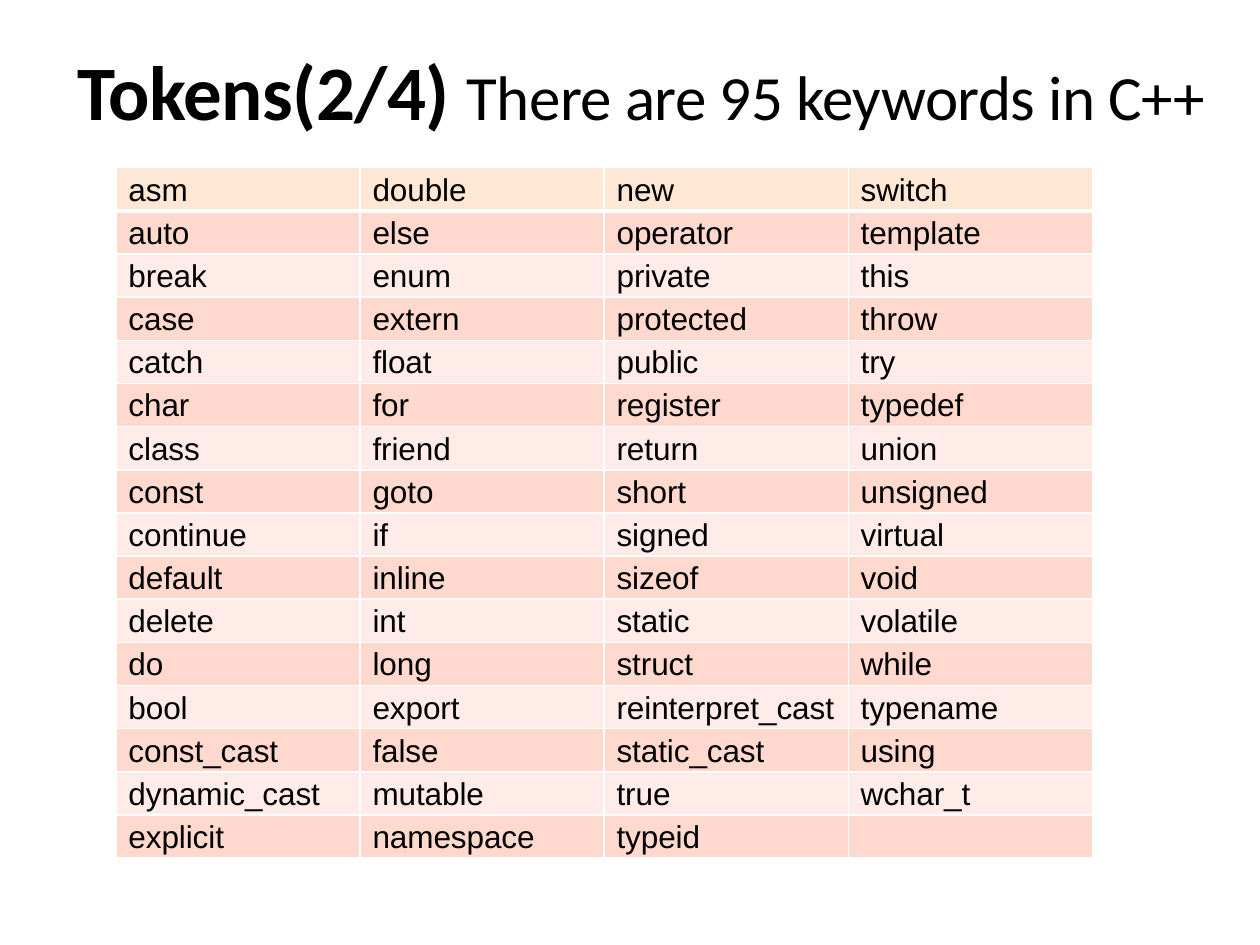
from typing import NamedTuple

from lxml.etree import SubElement
from pptx import Presentation
from pptx.dml.color import RGBColor
from pptx.enum.text import MSO_ANCHOR, MSO_AUTO_SIZE, PP_ALIGN
from pptx.oxml import parse_xml
from pptx.oxml.ns import nsdecls, qn
from pptx.util import Cm, Pt

BLACK = RGBColor(0x00, 0x00, 0x00)
WHITE = RGBColor(0xFF, 0xFF, 0xFF)
HEADER = RGBColor(0xFF, 0xE7, 0xD6)
BAND_DARK = RGBColor(0xFF, 0xD9, 0xCE)
BAND_LIGHT = RGBColor(0xFF, 0xEC, 0xE8)

COLUMN_WIDTH = Cm(4.92)
ROW_HEIGHT = Cm(0.87)
INDENT = Cm(0.25)

KEYWORD_COLUMNS = [
    "asm auto break case catch char class const continue default delete do "
    "bool const_cast dynamic_cast explicit",
    "double else enum extern float for friend goto if inline int long "
    "export false mutable namespace",
    "new operator private protected public register return short signed "
    "sizeof static struct reinterpret_cast static_cast true typeid",
    "switch template this throw try typedef union unsigned virtual void "
    "volatile while typename using wchar_t",
]


class TitlePart(NamedTuple):
    text: str
    size: int
    bold: bool


class Border(NamedTuple):
    side: str
    points: int


TITLE_PARTS = [
    TitlePart("Tokens(2/4) ", 44, True),
    TitlePart("There are 95 keywords in C++", 36, False),
]


def add_title(slide, parts: list[TitlePart]) -> None:
    sp = slide.shapes.title
    sp.left, sp.top, sp.width, sp.height = Cm(1.07), Cm(0.84), Cm(23.7), Cm(1.93)
    tf = sp.text_frame
    tf.auto_size = MSO_AUTO_SIZE.NONE
    tf.vertical_anchor = MSO_ANCHOR.MIDDLE
    tf.margin_left = tf.margin_top = tf.margin_right = tf.margin_bottom = 0
    p = tf.paragraphs[0]
    p.alignment = PP_ALIGN.CENTER
    p.space_before = Pt(1.1)
    p.font.name = "Calibri"
    p.font.color.rgb = BLACK
    for part in parts:
        r = p.add_run()
        r.text = part.text
        r.font.size = Pt(part.size)
        r.font.bold = part.bold
        r._r.get_or_add_rPr().set("spc", "-30")


def set_borders(cell, borders: list[Border]) -> None:
    """Draw white cell borders; sides must come in the order L, R, T, B."""
    tc_pr = cell._tc.get_or_add_tcPr()
    for position, border in enumerate(borders):
        ln = parse_xml(f'<a:ln{border.side} {nsdecls("a")} w="{Pt(border.points)}"/>')
        fill = SubElement(ln, qn("a:solidFill"))
        SubElement(fill, qn("a:srgbClr"), val=str(WHITE))
        tc_pr.insert(position, ln)


def row_fill(row: int) -> RGBColor:
    if row == 0:
        return HEADER
    return BAND_DARK if row % 2 else BAND_LIGHT


def format_cell(cell, row: int, keyword: str) -> None:
    cell.margin_left = cell.margin_right = cell.margin_bottom = 0
    cell.margin_top = Cm(0.1)
    cell.fill.solid()
    cell.fill.fore_color.rgb = row_fill(row)
    set_borders(cell, [
        Border("L", 1),
        Border("R", 1),
        Border("T", 3 if row == 1 else 1),
        Border("B", 3 if row == 0 else 1),
    ])
    p = cell.text_frame.paragraphs[0]
    p.space_before = Pt(3.1)
    p.font.name = "Arial"
    p.font.size = Pt(18)
    p.font.color.rgb = BLACK
    p_pr = p._p.get_or_add_pPr()
    p_pr.set("marL", str(INDENT))
    p_pr.set("indent", "0")
    if keyword:
        r = p.add_run()
        r.text = keyword
        r._r.get_or_add_rPr().set("spc", "-5")


def add_keyword_table(slide, columns: list[list[str]]) -> None:
    rows = max(len(keywords) for keywords in columns)
    table = slide.shapes.add_table(
        rows, len(columns), Cm(2.34), Cm(3.38),
        COLUMN_WIDTH * len(columns), ROW_HEIGHT * rows,
    ).table
    table.first_row = table.horz_banding = False
    for row in table.rows:
        row.height = ROW_HEIGHT
    for col, keywords in enumerate(columns):
        table.columns[col].width = COLUMN_WIDTH
        for row in range(rows):
            keyword = keywords[row] if row < len(keywords) else ""
            format_cell(table.cell(row, col), row, keyword)


def main() -> None:
    prs = Presentation()
    prs.slide_width, prs.slide_height = Cm(25.4), Cm(19.05)
    title_only = prs.slide_layouts[5]
    slide = prs.slides.add_slide(title_only)
    add_title(slide, TITLE_PARTS)
    add_keyword_table(slide, [words.split() for words in KEYWORD_COLUMNS])
    prs.save("out.pptx")


if __name__ == "__main__":
    main()
